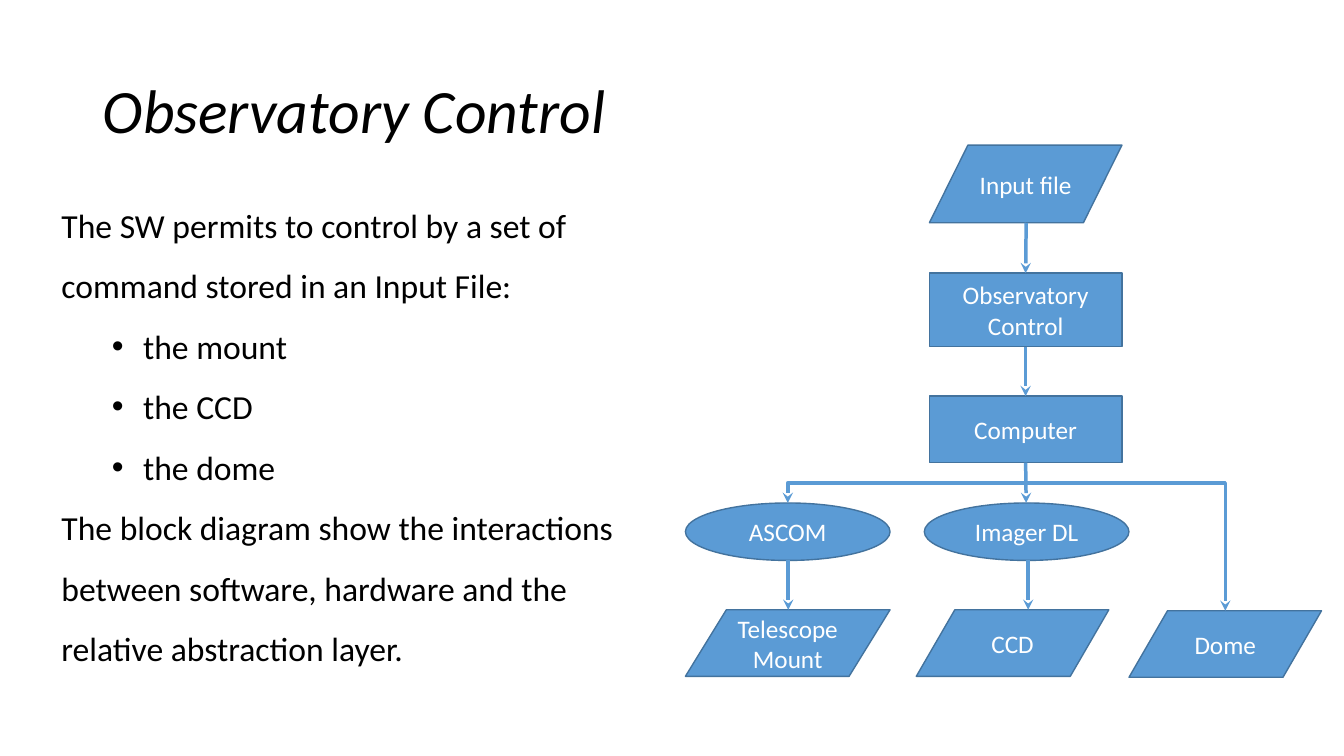
from lxml import etree
from pptx import Presentation
from pptx import util as u
from pptx.dml.color import RGBColor
from pptx.enum import shapes, text
from pptx.oxml.ns import qn

PX = 9144
FONT = "Calibri"
BLUE, EDGE, WHITE, BLACK = "5B9BD5", "43739E", "FFFFFF", "000000"

TITLE = "Observatory Control"
BODY = [
    (0, "The SW permits to control by a set of command stored in an Input File:"),
    (1, "the mount"),
    (1, "the CCD"),
    (1, "the dome"),
    (0, "The block diagram show the interactions between software, hardware "
        "and the relative abstraction layer."),
]
RECT = shapes.MSO_SHAPE.RECTANGLE
DATA = shapes.MSO_SHAPE.FLOWCHART_DATA
OVAL = shapes.MSO_SHAPE.OVAL
BLOCKS = {
    "control": ("Observatory Control", RECT, (922, 271, 191, 73)),
    "computer": ("Computer", RECT, (922, 393, 191, 66)),
    "input": ("Input file", DATA, (922, 144, 191, 77)),
    "mount": ("Telescope Mount", DATA, (680, 605, 203, 66)),
    "ccd": ("CCD", DATA, (909, 605, 191, 66)),
    "dome": ("Dome", DATA, (1120, 606, 191, 66)),
    "ascom": ("ASCOM", OVAL, (680, 499, 203, 57)),
    "imaging": ("Imager DL", OVAL, (917, 499, 203, 57)),
}
STRAIGHT = [("input", "control", 1018), ("control", "computer", 1018),
            ("computer", "imaging", 1018), ("imaging", "ccd", 1020),
            ("ascom", "mount", 782)]
BRANCHES = [("computer", "ascom"), ("computer", "dome")]
BRANCH_Y = 479


def px(n):
    return u.Emu(round(n * PX))


def color(value):
    return RGBColor.from_string(value)


def apply(target, values):
    for name, value in values.items():
        setattr(target, name, value)


def place(shape, box):
    apply(shape, dict(zip(("left", "top", "width", "height"), map(px, box))))


def write(paragraph, words, size, ink, **paragraph_format):
    run = paragraph.add_run()
    run.text = words
    apply(run.font, {"name": FONT, "size": u.Pt(size)})
    run.font.color.rgb = color(ink)
    apply(paragraph, paragraph_format)
    return run


def top(key):
    x, y, w, h = BLOCKS[key][2]
    return x + w / 2, y


def bottom(key):
    x, y, w, h = BLOCKS[key][2]
    return x + w / 2, y + h


def add_arrow(kind, start, end):
    arrow = slide.shapes.add_connector(kind, *map(px, start + end))
    arrow.line.color.rgb = color(BLUE)
    arrow.line.width = u.Pt(2.5)
    etree.SubElement(arrow.line._get_or_add_ln(), qn("a:tailEnd"), type="stealth")
    etree.SubElement(arrow._element.spPr, qn("a:effectLst"))
    return arrow


def add_branch(start, end):
    arrow = add_arrow(shapes.MSO_CONNECTOR.ELBOW, start, end)
    (x1, y1), (x2, y2) = start, end
    run, drop = abs(x2 - x1), y2 - y1
    place(arrow, ((x1 + x2 - drop) / 2, (y1 + y2 - run) / 2, drop, run))
    xfrm = arrow._element.spPr.find(qn("a:xfrm"))
    to_right = x2 > x1
    xfrm.set("rot", str((270 if to_right else 90) * 60000))
    xfrm.set("flipH", str(int(to_right)))
    geometry = arrow._element.spPr.find(qn("a:prstGeom"))
    adjustments = geometry.find(qn("a:avLst"))
    if adjustments is None:
        adjustments = etree.SubElement(geometry, qn("a:avLst"))
    bend = round((BRANCH_Y - y1) / drop * 100000)
    etree.SubElement(adjustments, qn("a:gd"), name="adj1", fmla=f"val {bend}")


deck = Presentation()
deck.slide_width, deck.slide_height = u.Inches(13.333), u.Inches(7.5)
slide = deck.slides.add_slide(deck.slide_layouts[1])

title, body = slide.placeholders
place(title, (92, 40, 1150, 145))
title.text_frame.vertical_anchor = text.MSO_ANCHOR.MIDDLE
write(title.text_frame.paragraphs[0], TITLE, 44, BLACK,
      alignment=text.PP_ALIGN.LEFT, line_spacing=0.9).font.italic = True

place(body, (51, 178, 596, 495))
apply(body.text_frame, {"auto_size": text.MSO_AUTO_SIZE.SHAPE_TO_FIT_TEXT,
                        "vertical_anchor": text.MSO_ANCHOR.TOP, "word_wrap": True})
for i, (level, words) in enumerate(BODY):
    frame = body.text_frame
    paragraph = frame.add_paragraph() if i else frame.paragraphs[0]
    write(paragraph, words, 24, BLACK, level=level, line_spacing=1.5,
          space_before=u.Pt(0), space_after=u.Pt(0))
    props = paragraph._p.get_or_add_pPr()
    props.set("marL", str(px(81 * level)))
    props.set("indent", str(px(-31 * level)))
    if level:
        etree.SubElement(props, qn("a:buFont"), typeface="Arial")
        etree.SubElement(props, qn("a:buChar"), char="•")
    else:
        etree.SubElement(props, qn("a:buNone"))

blocks = {}
for key, (label, kind, box) in BLOCKS.items():
    block = slide.shapes.add_shape(kind, *map(px, box))
    block.shadow.inherit = False
    block.fill.solid()
    block.fill.fore_color.rgb = color(BLUE)
    block.line.color.rgb = color(EDGE)
    block.line.width = u.Pt(1)
    block.text_frame.vertical_anchor = text.MSO_ANCHOR.MIDDLE
    write(block.text_frame.paragraphs[0], label, 18, WHITE,
          alignment=text.PP_ALIGN.CENTER)
    blocks[key] = block

for source, target, x in STRAIGHT:
    arrow = add_arrow(shapes.MSO_CONNECTOR.STRAIGHT,
                      (x, bottom(source)[1]), (x, top(target)[1]))
    if BLOCKS[source][1] == RECT:
        arrow.begin_connect(blocks[source], 2)
    if BLOCKS[target][1] == RECT:
        arrow.end_connect(blocks[target], 0)

for source, target in BRANCHES:
    add_branch(bottom(source), top(target))

deck.save("out.pptx")
